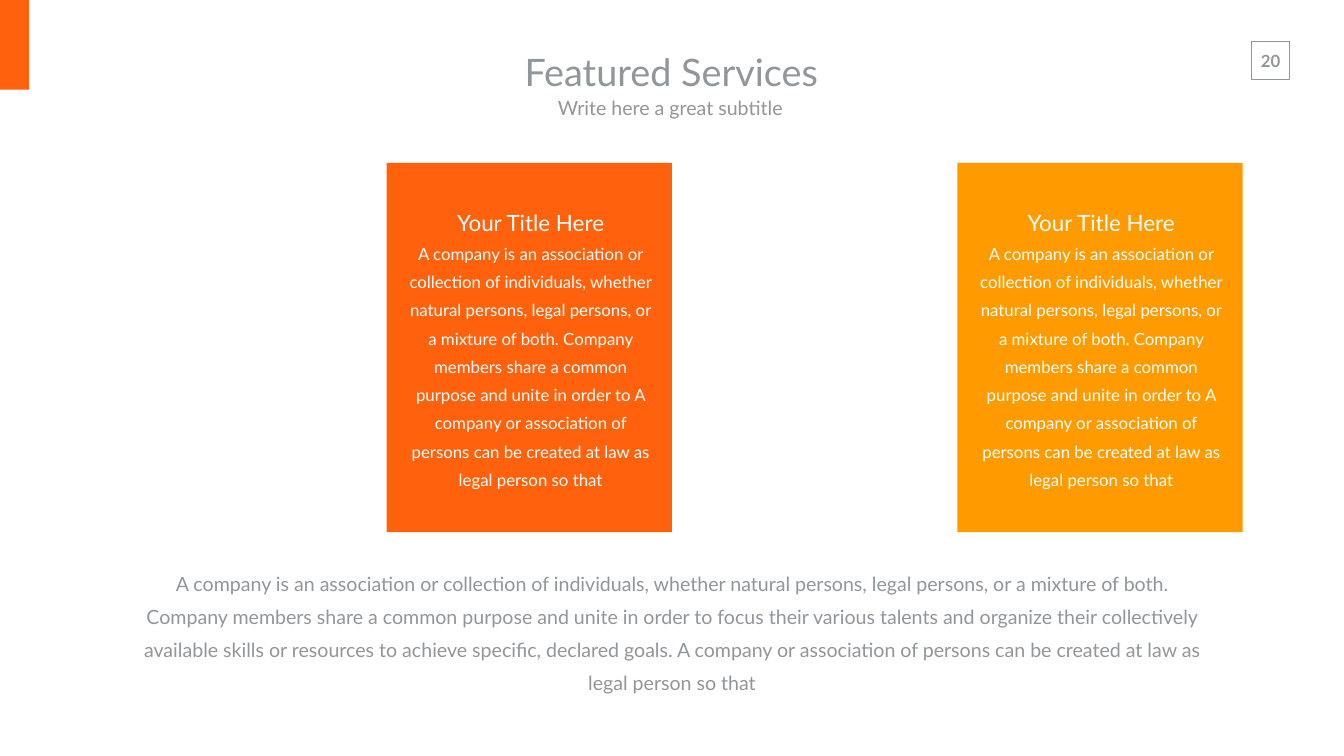
from dataclasses import dataclass

from pptx import Presentation
from pptx.dml.color import RGBColor
from pptx.enum import shapes, text
from pptx.slide import Slide
from pptx.util import Inches, Pt


@dataclass(frozen=True)
class Theme:
    font: str = "Lato"
    gray: str = "91969B"
    white: str = "FFFFFF"
    orange: str = "FF610C"
    amber: str = "FF9B00"
    title: int = 54
    card_title: int = 32
    body: int = 28
    small: int = 24


@dataclass(frozen=True)
class Box:
    left: float
    top: float
    width: float
    height: float

    def lengths(self) -> list[int]:
        return [Inches(v) for v in (self.left, self.top, self.width, self.height)]


@dataclass(frozen=True)
class Line:
    words: str
    size: int
    color: str
    bold: bool = False


@dataclass(frozen=True)
class Card:
    left: float
    color: str
    title: str
    body: str


THEME = Theme()
CARD_TOP, CARD_WIDTH, CARD_HEIGHT = 3.23, 5.66, 7.33
CARD_LEFT = 7.67
CARD_TITLE = "Your Title Here"
CARD_BODY = (
    "A company is an association or collection of individuals, whether natural persons, "
    "legal persons, or a mixture of both. Company members share a common purpose and unite "
    "in order to A company or association of persons can be created at law as legal person so that"
)
SUMMARY = (
    "A company is an association or collection of individuals, whether natural persons, "
    "legal persons, or a mixture of both. Company members share a common purpose and unite "
    "in order to focus their various talents and organize their collectively available skills "
    "or resources to achieve specific, declared goals. A company or association of persons "
    "can be created at law as legal person so that"
)
# Cards fill every second column of a grid one card wide.
CARDS = [
    Card(CARD_LEFT + 2 * column * CARD_WIDTH, color, CARD_TITLE, CARD_BODY)
    for column, color in enumerate((THEME.orange, THEME.amber))
]


def add_rectangle(slide: Slide, box: Box, fill: str = "", outline: str = "") -> None:
    shape = slide.shapes.add_shape(shapes.MSO_SHAPE.RECTANGLE, *box.lengths())
    shape.shadow.inherit = False
    if fill:
        shape.fill.solid()
        shape.fill.fore_color.rgb = RGBColor.from_string(fill)
    else:
        shape.fill.background()
    if outline:
        shape.line.color.rgb = RGBColor.from_string(outline)
        shape.line.width = Pt(1)
    else:
        shape.line.fill.background()


def add_text(
    slide: Slide,
    box: Box,
    lines: list[Line],
    margins: tuple[float, float] = (0.1, 0.05),
    spacing: float = 1.0,
    anchor: text.MSO_ANCHOR = text.MSO_ANCHOR.TOP,
    wrap: bool = True,
) -> None:
    """Add centred paragraphs; margins are horizontal, then vertical."""
    frame = slide.shapes.add_textbox(*box.lengths()).text_frame
    horizontal, vertical = (Inches(margin) for margin in margins)
    frame_format = {
        "word_wrap": wrap,
        "auto_size": text.MSO_AUTO_SIZE.SHAPE_TO_FIT_TEXT,
        "vertical_anchor": anchor,
        "margin_left": horizontal,
        "margin_right": horizontal,
        "margin_top": vertical,
        "margin_bottom": vertical,
    }
    for name, value in frame_format.items():
        setattr(frame, name, value)
    for index, line in enumerate(lines):
        paragraph = frame.add_paragraph() if index else frame.paragraphs[0]
        paragraph.alignment = text.PP_ALIGN.CENTER
        paragraph.line_spacing = spacing
        run = paragraph.add_run()
        run.text = line.words
        font_format = {"name": THEME.font, "size": Pt(line.size), "bold": line.bold}
        for name, value in font_format.items():
            setattr(run.font, name, value)
        run.font.color.rgb = RGBColor.from_string(line.color)


def add_card(slide: Slide, card: Card) -> None:
    add_rectangle(slide, Box(card.left, CARD_TOP, CARD_WIDTH, CARD_HEIGHT), fill=card.color)
    add_text(
        slide,
        Box(card.left + 0.3, CARD_TOP + 0.65, 5.11, 5.92),
        [
            Line(card.title, THEME.card_title, THEME.white),
            Line(card.body, THEME.small, THEME.white),
        ],
        spacing=1.4,
    )


def add_header(slide: Slide) -> None:
    add_text(
        slide,
        Box(24.8, 0.9, 0.81, 0.61),
        [Line("20", THEME.small, THEME.gray, bold=True)],
        margins=(0.2, 0.1),
        wrap=False,
    )
    add_rectangle(slide, Box(24.83, 0.82, 0.75, 0.75), outline=THEME.gray)
    add_rectangle(slide, Box(0, 0, 0.58, 1.78), fill=THEME.orange)
    headings = [
        (Box(8.15, 0.83, 10.33, 1.18), Line("Featured Services", THEME.title, THEME.gray)),
        (Box(8.18, 1.76, 10.33, 0.74), Line("Write here a great subtitle ", THEME.body, THEME.gray)),
    ]
    for box, line in headings:
        add_text(slide, box, [line], margins=(0.27, 0.13), anchor=text.MSO_ANCHOR.MIDDLE)


def main() -> None:
    presentation = Presentation()
    presentation.slide_width = Inches(26.66)
    presentation.slide_height = Inches(15)
    slide = presentation.slides.add_slide(presentation.slide_layouts[6])
    add_header(slide)
    for card in CARDS:
        add_card(slide, card)
    add_text(
        slide,
        Box(2.65, 11.12, 21.36, 2.05),
        [Line(SUMMARY, THEME.body, THEME.gray)],
        spacing=1.4,
    )
    presentation.save("out.pptx")


if __name__ == "__main__":
    main()
